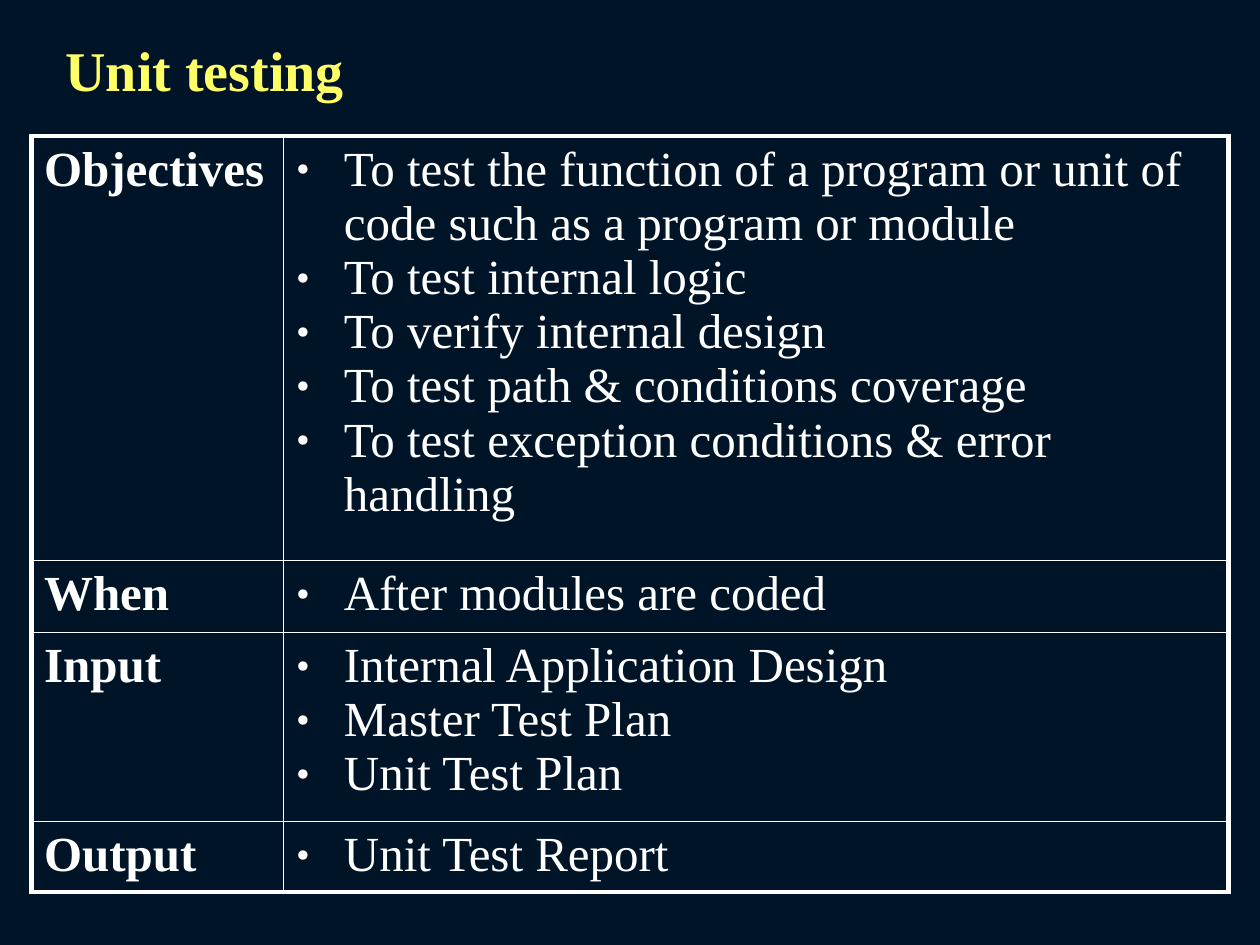
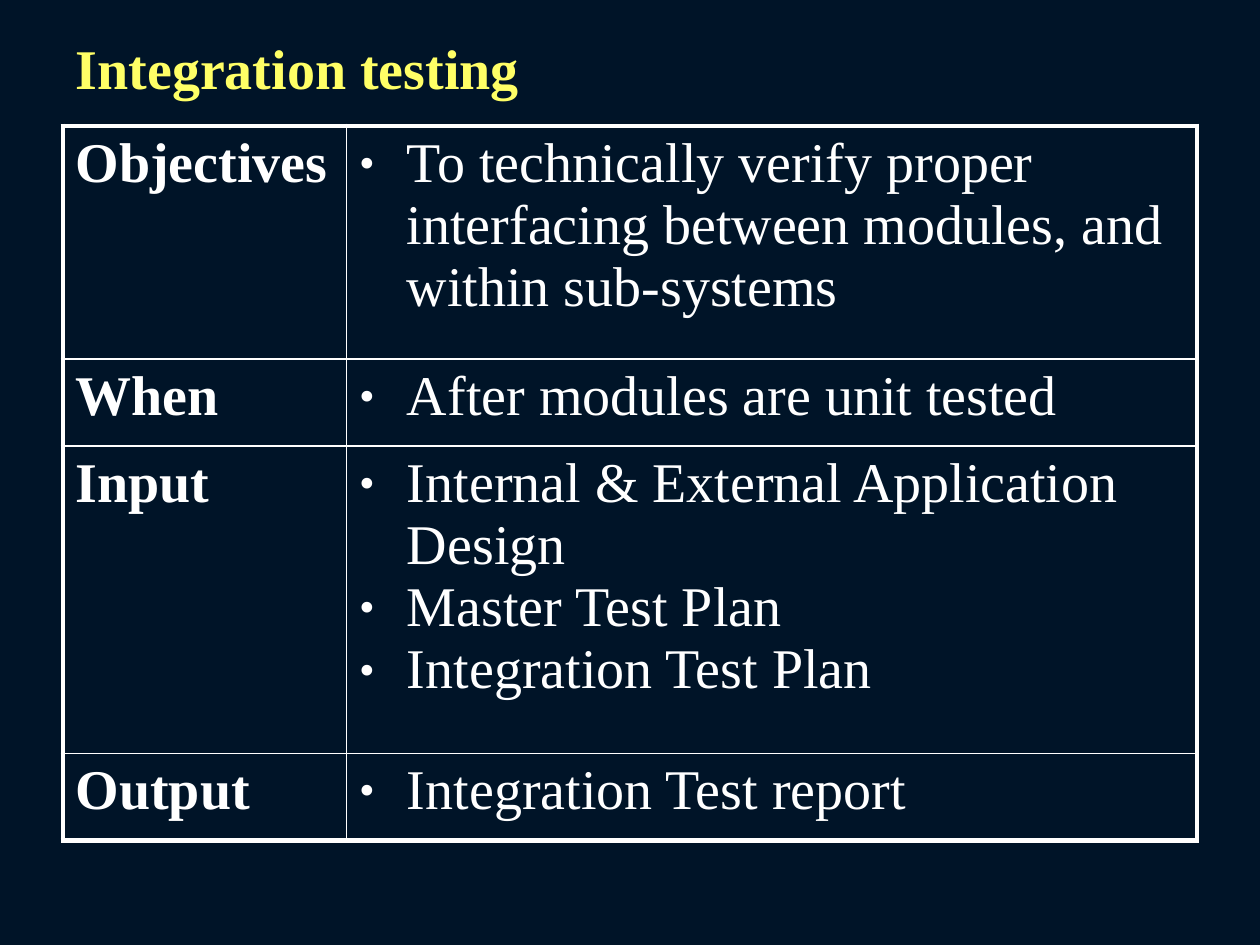
from lxml import etree
from pptx import Presentation, util as u
from pptx.dml.color import RGBColor
from pptx.enum import text
from pptx.oxml.ns import qn

NAVY, YELLOW, WHITE = "001428", "FFFF66", "FFFFFF"
FONT = "Times New Roman"
HEADINGS = ("Objectives", "When", "Input", "Output")
INDENT = 0.38
OUTER, INNER = 3, 1


def paint(target, colour):
    """Give a fill a solid colour."""
    target.solid()
    target.fore_color.rgb = RGBColor.from_string(colour)


def add_bullet(para):
    """Give a paragraph a hanging white bullet."""
    props = para._p.get_or_add_pPr()
    props.set("marL", str(u.Inches(INDENT)))
    props.set("indent", str(-u.Inches(INDENT)))
    colour = etree.SubElement(props, qn("a:buClr"))
    etree.SubElement(colour, qn("a:srgbClr"), val=WHITE)
    etree.SubElement(props, qn("a:buSzPct"), val="80000")
    etree.SubElement(props, qn("a:buFont"), typeface=FONT)
    etree.SubElement(props, qn("a:buChar"), char="•")


def write(frame, lines, size, colour=WHITE, bold=False, bullet=False):
    """Write one left-aligned paragraph for each line."""
    for index, line in enumerate(lines):
        para = frame.add_paragraph() if index else frame.paragraphs[0]
        para.alignment = text.PP_ALIGN.LEFT
        if bullet:
            add_bullet(para)
        span = para.add_run()
        span.text = line
        span.font.name = FONT
        span.font.size = u.Pt(size)
        span.font.bold = bold
        paint(span.font.fill, colour)


def set_borders(cell, widths):
    """Draw white cell edges in the order left, right, top, bottom."""
    props = cell._tc.get_or_add_tcPr()
    for index, (side, width) in enumerate(zip("LRTB", widths)):
        line = etree.Element(qn(f"a:ln{side}"), w=str(u.Pt(width)))
        fill = etree.SubElement(line, qn("a:solidFill"))
        etree.SubElement(fill, qn("a:srgbClr"), val=WHITE)
        props.insert(index, line)


def add_title(page, title, box):
    """Place the slide title in its box."""
    shape = page.shapes.title
    shape.left, shape.top, shape.width, shape.height = map(u.Inches, box)
    frame = shape.text_frame
    frame.word_wrap = True
    frame.auto_size = text.MSO_AUTO_SIZE.NONE
    frame.vertical_anchor = text.MSO_ANCHOR.MIDDLE
    write(frame, [title], 32, YELLOW, bold=True)


def add_phase_table(page, entries, origin, columns, rows, size):
    """Place the table that pairs each heading with its bullet list."""
    box = (*origin, sum(columns), sum(rows))
    table = page.shapes.add_table(len(rows), len(columns), *map(u.Inches, box)).table
    table.first_row = table.horz_banding = False
    for column, width in zip(table.columns, columns):
        column.width = u.Inches(width)
    for row, height in zip(table.rows, rows):
        row.height = u.Inches(height)
    for index, (heading, items) in enumerate(zip(HEADINGS, entries)):
        label, detail = table.cell(index, 0), table.cell(index, 1)
        write(label.text_frame, [heading], size, bold=True)
        write(detail.text_frame, items, size, bullet=True)
        top = OUTER if index == 0 else INNER
        bottom = OUTER if index == len(rows) - 1 else INNER
        for cell, sides in ((label, (OUTER, INNER)), (detail, (INNER, OUTER))):
            cell.fill.background()
            set_borders(cell, (*sides, top, bottom))


def add_phase_page(deck, title, title_box, entries, **layout):
    """Add a slide that describes one testing phase."""
    page = deck.slides.add_slide(deck.slide_layouts.get_by_name("Title Only"))
    add_title(page, title, title_box)
    add_phase_table(page, entries, **layout)


def main():
    """Build and save the deck."""
    deck = Presentation()
    deck.slide_width, deck.slide_height = u.Inches(10), u.Inches(7.5)
    paint(deck.slide_master.background.fill, NAVY)
    add_phase_page(
        deck, "Unit testing", (0.42, 0.23, 8.92, 0.63),
        [
            [
                "To test the function of a program or unit of code such as a program or module",
                "To test internal logic",
                "To verify internal design",
                "To test path & conditions coverage",
                "To test exception conditions & error handling",
            ],
            ["After modules are coded"],
            ["Internal Application Design", "Master Test Plan", "Unit Test Plan"],
            ["Unit Test Report"],
        ],
        origin=(0.25, 1.08), columns=(2, 7.5), rows=(3.37, 0.57, 1.5, 0.56), size=28,
    )
    add_phase_page(
        deck, "Integration testing", (0.5, 0.22, 3.83, 0.63),
        [
            ["To technically verify proper interfacing between modules, and within sub-systems"],
            ["After modules are unit tested"],
            ["Internal & External Application Design", "Master Test Plan", "Integration Test Plan"],
            ["Integration Test report"],
        ],
        origin=(0.5, 1), columns=(2.25, 6.75), rows=(1.85, 0.69, 2.44, 0.69), size=32,
    )
    deck.save("out.pptx")


if __name__ == "__main__":
    main()
